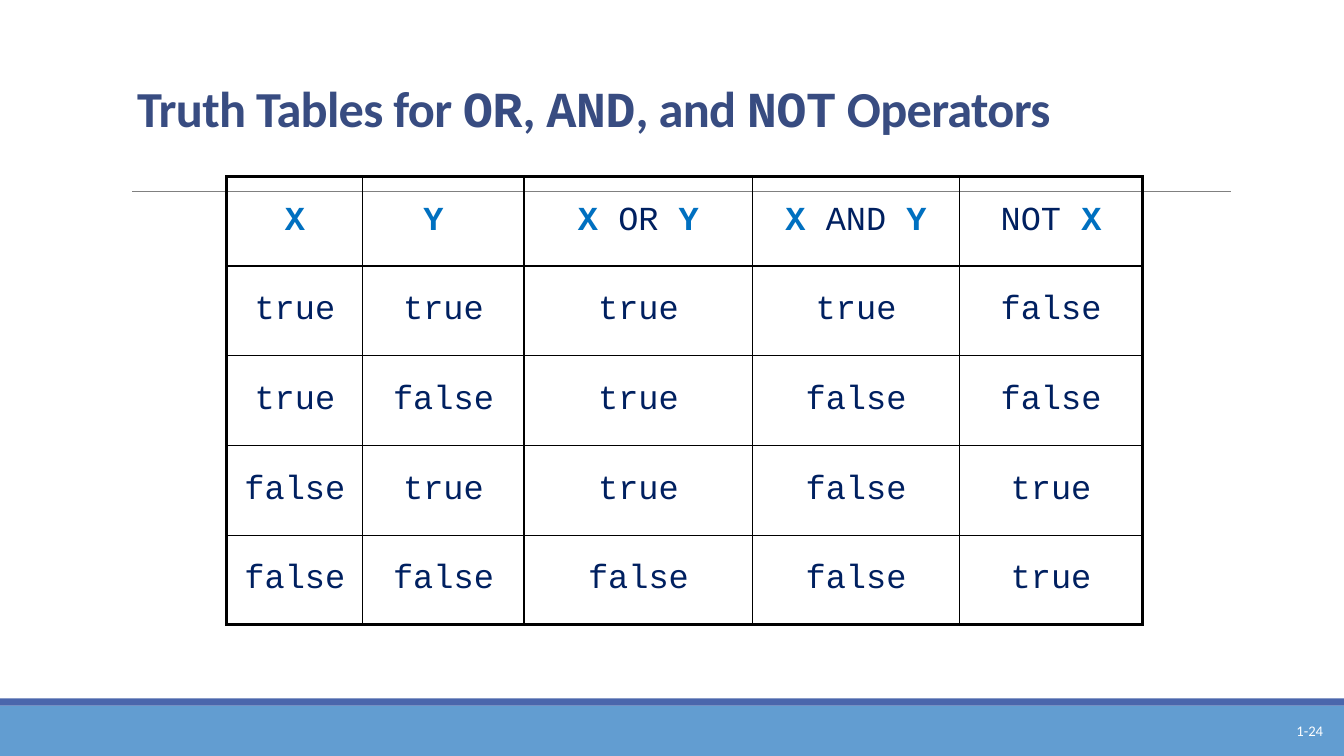
import itertools

import lxml.etree
import pptx
import pptx.dml.color
import pptx.enum.shapes
import pptx.enum.text
import pptx.oxml.ns
import pptx.util

COLORS = {
    "band": "629DD1",
    "stripe": "4A66AC",
    "rule": "808080",
    "title": "384C81",
    "variable": "0070C0",
    "value": "002060",
    "border": "000000",
    "number": "FFFFFF",
}
BODY, CODE = "Calibri", "Courier New"
THIN, THICK = 1, 2.25
COLUMN_WEIGHTS = [1.35, 1.6, 2.27, 2.05, 1.82]
HEADERS = [["X"], ["Y "], ["X ", "OR ", "Y"], ["X ", "AND ", "Y"], ["NOT ", "X"]]
TITLE = ["Truth Tables for ", "OR", ", ", "AND", ", and ", "NOT", " Operators"]


def rgb(name):
    return pptx.dml.color.RGBColor.from_string(COLORS[name])


def area(box, x, y, w, h):
    left, top, width, height = box
    return (
        round(left + width * x / 100),
        round(top + height * y / 100),
        round(width * w / 100),
        round(height * h / 100),
    )


def add_bar(slide, box, color):
    sp = slide.shapes.add_shape(pptx.enum.shapes.MSO_SHAPE.RECTANGLE, *box)
    sp.shadow.inherit = False
    sp.fill.solid()
    sp.fill.fore_color.rgb = rgb(color)
    sp.line.fill.background()


def add_footer(slide, box, number):
    add_bar(slide, area(box, 0, 12.28, 100, 87.72), "band")
    add_bar(slide, area(box, 0, 0, 100, 12.28), "stripe")
    sp = slide.shapes.add_textbox(*area(box, 78.32, 12.28, 20.86, 87.72))
    tf = sp.text_frame
    tf.word_wrap = True
    tf.vertical_anchor = pptx.enum.text.MSO_ANCHOR.MIDDLE
    p = tf.paragraphs[0]
    p.text = number
    p.alignment = pptx.enum.text.PP_ALIGN.RIGHT
    p.font.name = BODY
    p.font.size = pptx.util.Pt(10.5)
    p.font.color.rgb = rgb("number")


def add_rule(slide, box):
    left, top, width, _ = box
    line = slide.shapes.add_connector(
        pptx.enum.shapes.MSO_CONNECTOR.STRAIGHT, left, top, left + width, top
    )
    line.line.color.rgb = rgb("rule")
    line.line.width = pptx.util.Pt(0.5)
    lxml.etree.SubElement(line._element.spPr, pptx.oxml.ns.qn("a:effectLst"))


def fill_title(slide, box):
    sp = slide.shapes.title
    sp.left, sp.top, sp.width, sp.height = box
    tf = sp.text_frame
    tf.word_wrap = True
    tf.auto_size = pptx.enum.text.MSO_AUTO_SIZE.NONE
    tf.vertical_anchor = pptx.enum.text.MSO_ANCHOR.BOTTOM
    p = tf.paragraphs[0]
    p.alignment = pptx.enum.text.PP_ALIGN.LEFT
    p.line_spacing = 0.85
    p.font.size = pptx.util.Pt(36)
    p.font.bold = True
    p.font.color.rgb = rgb("title")
    for text in TITLE:
        r = p.add_run()
        r.text = text
        r.font.name = CODE if text.isupper() else BODY
        r.font._element.set("spc", "-50")


def set_borders(cell, widths):
    tc_pr = cell._tc.get_or_add_tcPr()
    for side, width in widths.items():
        ln = lxml.etree.SubElement(
            tc_pr, pptx.oxml.ns.qn("a:ln" + side), w=str(pptx.util.Pt(width))
        )
        fill = lxml.etree.SubElement(ln, pptx.oxml.ns.qn("a:solidFill"))
        lxml.etree.SubElement(
            fill, pptx.oxml.ns.qn("a:srgbClr"), val=COLORS["border"]
        )


def write_cell(cell, parts):
    cell.fill.background()
    cell.vertical_anchor = pptx.enum.text.MSO_ANCHOR.MIDDLE
    p = cell.text_frame.paragraphs[0]
    p.alignment = pptx.enum.text.PP_ALIGN.CENTER
    p.font.name = CODE
    p.font.size = pptx.util.Pt(24)
    for part in parts:
        is_variable = part.strip() in ("X", "Y")
        r = p.add_run()
        r.text = part
        r.font.bold = is_variable
        r.font.color.rgb = rgb("variable" if is_variable else "value")


def truth_rows():
    rows = [HEADERS]
    for x, y in itertools.product([True, False], repeat=2):
        rows.append([[str(v).lower()] for v in (x, y, x or y, x and y, not x)])
    return rows


def add_truth_table(slide, box):
    rows = truth_rows()
    last_row, last_col = len(rows) - 1, len(HEADERS) - 1
    table = slide.shapes.add_table(len(rows), len(HEADERS), *box).table
    table.first_row = False
    table.horz_banding = False
    for column, weight in zip(table.columns, COLUMN_WEIGHTS):
        column.width = round(box[2] * weight / sum(COLUMN_WEIGHTS))
    for i, row in enumerate(rows):
        for j, parts in enumerate(row):
            cell = table.cell(i, j)
            set_borders(cell, {
                "L": THICK if j == 0 else THIN,
                "R": THICK if j == last_col else THIN,
                "T": THICK if i == 0 else THIN,
                "B": THICK if i == last_row else THIN,
            })
            write_cell(cell, parts)


def main():
    prs = pptx.Presentation()
    prs.slide_width = pptx.util.Inches(13.33)
    prs.slide_height = pptx.util.Inches(7.5)
    page = (0, 0, prs.slide_width, prs.slide_height)
    slide = prs.slides.add_slide(prs.slide_layouts[5])
    add_footer(slide, area(page, 0, 92.4, 100, 7.6), "1-24")
    add_rule(slide, area(page, 9.83, 25.33, 81.77, 0))
    fill_title(slide, area(page, 9.45, 4.4, 75.54, 14.53))
    add_truth_table(slide, area(page, 16.88, 23.33, 68.15, 59.33))
    prs.save("out.pptx")


if __name__ == "__main__":
    main()
